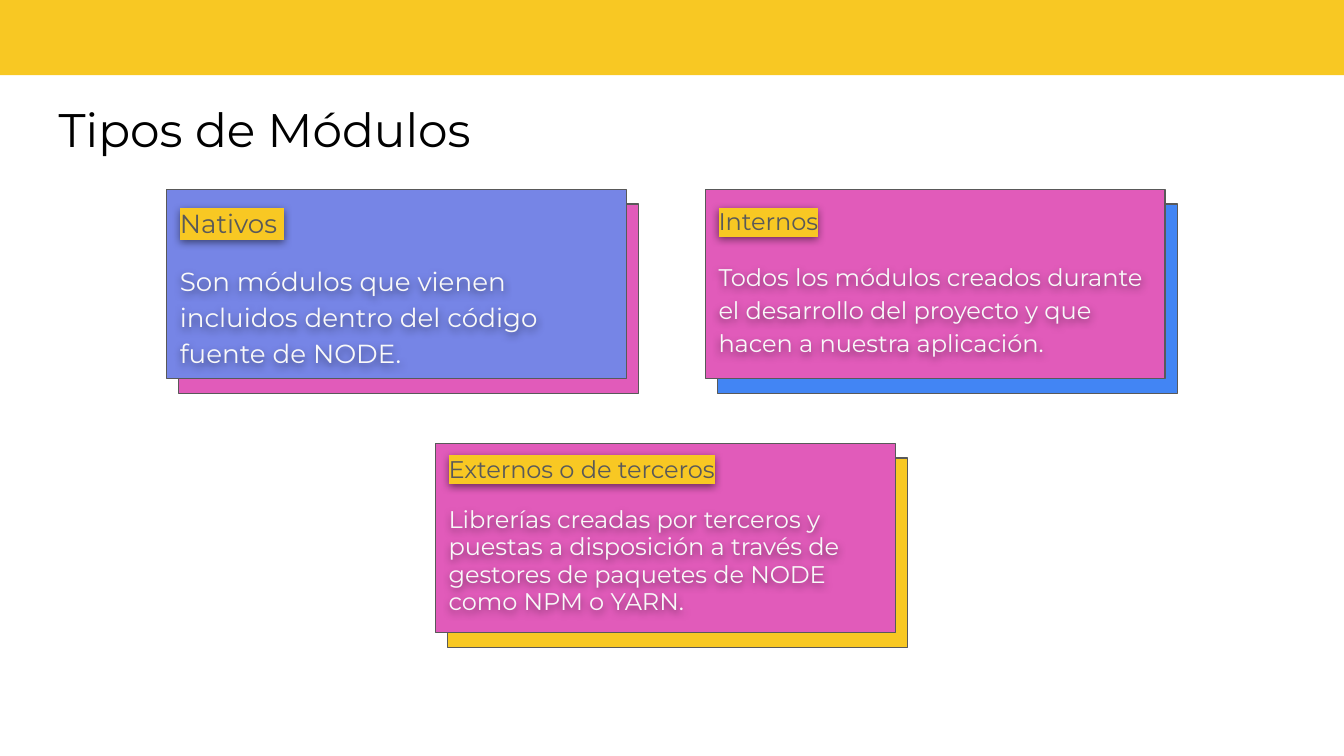
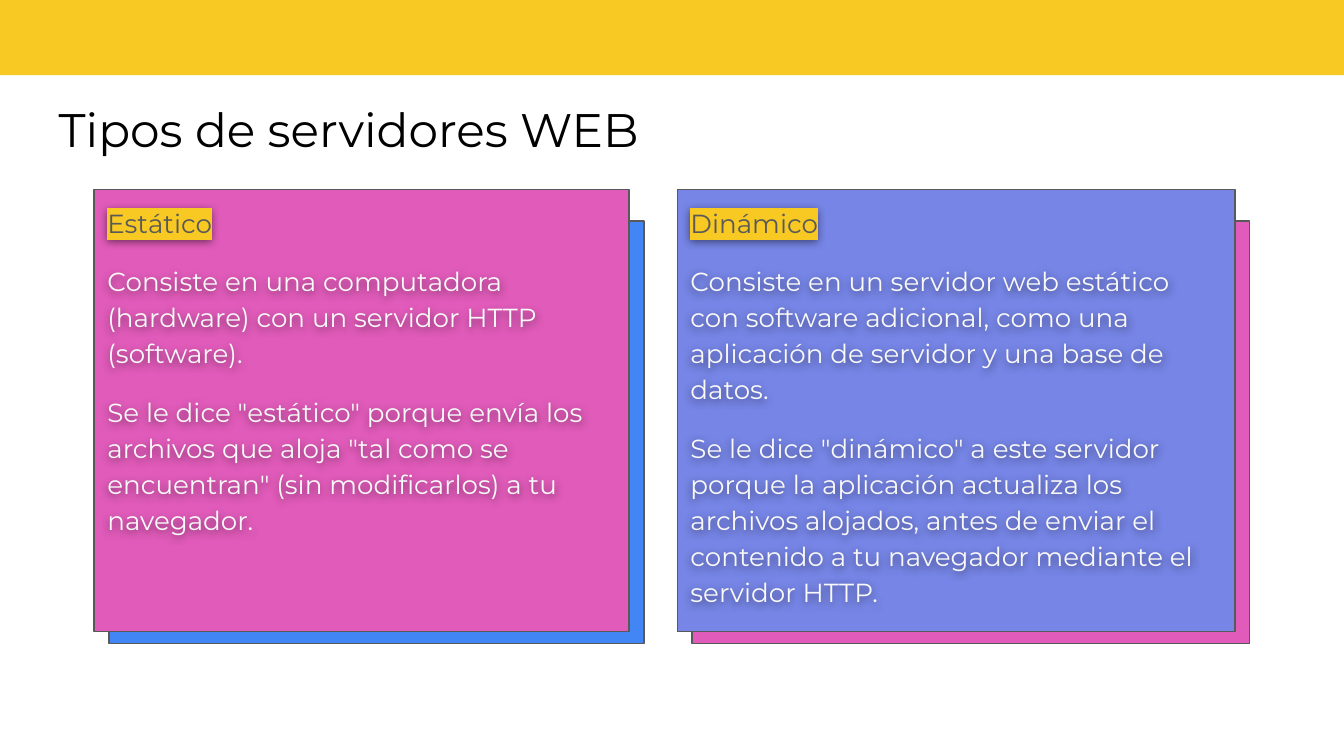
from lxml import etree
from pptx import Presentation
from pptx.dml.color import RGBColor
from pptx.enum.shapes import MSO_SHAPE
from pptx.oxml import parse_xml
from pptx.oxml.ns import qn
from pptx.util import Cm, Pt

RECTANGLE = MSO_SHAPE.RECTANGLE
FONT = "Montserrat"
COLORS = {
    "yellow": "F8C823",
    "pink": "E15BBA",
    "violet": "7685E6",
    "blue": "4285F4",
    "outline": "595959",
    "heading": "595959",
    "body": "F9F9F9",
    "title": "000000",
}
INSET = Cm(0.25)
TEXT_SHADOW = (
    '<a:effectLst xmlns:a="http://schemas.openxmlformats.org/drawingml/2006/main">'
    '<a:outerShdw blurRad="57150" dist="19050" dir="5400000" algn="bl" rotWithShape="0">'
    '<a:srgbClr val="000000"><a:alpha val="50000"/></a:srgbClr>'
    "</a:outerShdw></a:effectLst>"
)

# Cards: left, top, front color, back color, text size, line spacing, texts
# All lengths are in centimetres; a slide's cards share their height and offset.
ROW_TOP = 3.58
SLIDES = [
    {
        "title": "Tipos de Módulos",
        "height": 3.58,
        "back_height": 3.58,
        "offset": (0.23, 0.28),
        "cards": [
            (8.23, 8.38, 8.69, "pink", "yellow", 12.9, 0.95, [
                "Externos o de terceros",
                "Librerías creadas por terceros y puestas a disposición a través de "
                "gestores de paquetes de NODE como NPM o YARN."]),
            (3.15, ROW_TOP, 8.69, "violet", "pink", 14, 1.15, [
                "Nativos ",
                "Son módulos que vienen incluidos dentro del código fuente de NODE."]),
            (13.33, ROW_TOP, 8.69, "pink", "blue", 12.9, 1.15, [
                "Internos",
                "Todos los módulos creados durante el desarrollo del proyecto y que "
                "hacen a nuestra aplicación."]),
        ],
    },
    {
        "title": "Tipos de servidores WEB",
        "height": 8.36,
        "back_height": 7.98,
        "offset": (0.28, 0.6),
        "cards": [
            (12.8, ROW_TOP, 10.54, "violet", "pink", 14, 1.15, [
                "Dinámico",
                "Consiste en un servidor web estático con software adicional, como una "
                "aplicación de servidor y una base de datos.",
                'Se le dice "dinámico" a este servidor porque la aplicación actualiza '
                "los archivos alojados, antes de enviar el contenido a tu navegador "
                "mediante el servidor HTTP."]),
            (1.78, ROW_TOP, 10.11, "pink", "blue", 14, 1.15, [
                "Estático",
                "Consiste en una computadora (hardware) con un servidor HTTP (software).",
                'Se le dice "estático" porque envía los archivos que aloja "tal como se '
                'encuentran" (sin modificarlos) a tu navegador.']),
        ],
    },
]


def add_rectangle(slide, left, top, width, height, color, outlined=True):
    shape = slide.shapes.add_shape(RECTANGLE, Cm(left), Cm(top), Cm(width), Cm(height))
    shape.shadow.inherit = False
    shape.fill.solid()
    shape.fill.fore_color.rgb = RGBColor.from_string(COLORS[color])
    if outlined:
        shape.line.color.rgb = RGBColor.from_string(COLORS["outline"])
        shape.line.width = Pt(0.75)
    else:
        shape.line.fill.background()


def add_text(slide, left, top, width, height, texts, size, colors):
    box = slide.shapes.add_textbox(Cm(left), Cm(top), Cm(width), Cm(height))
    frame = box.text_frame
    frame.word_wrap = True
    frame.margin_left = frame.margin_right = INSET
    frame.margin_top = frame.margin_bottom = INSET
    frame.text = "\n".join(texts)
    for paragraph, color in zip(frame.paragraphs, colors):
        font = paragraph.runs[0].font
        font.name = FONT
        font.size = Pt(size)
        font.color.rgb = RGBColor.from_string(COLORS[color])
    return box


presentation = Presentation()
presentation.slide_width = Cm(25.4)
presentation.slide_height = Cm(14.29)
blank_layout = presentation.slide_layouts[6]

for content in SLIDES:
    slide = presentation.slides.add_slide(blank_layout)

    # Top band and title
    add_rectangle(slide, 0, 0, 25.4, 1.42, "yellow", outlined=False)
    add_text(slide, 0.86, 1.65, 23.67, 1.6, [content["title"]], 25.2, ["title"])

    # Cards: back panel, front panel, text
    height = content["height"]
    shift_x, shift_y = content["offset"]
    for left, top, width, front, back, size, spacing, texts in content["cards"]:
        add_rectangle(slide, left + shift_x, top + shift_y, width,
                      content["back_height"], back)
        add_rectangle(slide, left, top, width, height, front)
        text_colors = ["heading"] + ["body"] * (len(texts) - 1)
        box = add_text(slide, left, top, width, height, texts, size, text_colors)
        box.element.spPr.append(parse_xml(TEXT_SHADOW))

        paragraphs = box.text_frame.paragraphs
        for paragraph in paragraphs:
            paragraph.line_spacing = spacing
        for paragraph in paragraphs[1:]:
            paragraph.space_before = Pt(12)
        paragraphs[-1].space_after = Pt(12)

        # Highlighted heading
        heading_fill = paragraphs[0].runs[0]._r.rPr.find(qn("a:solidFill"))
        highlight = etree.Element(qn("a:highlight"))
        etree.SubElement(highlight, qn("a:srgbClr"), val=COLORS["yellow"])
        heading_fill.addnext(highlight)

presentation.save("out.pptx")
